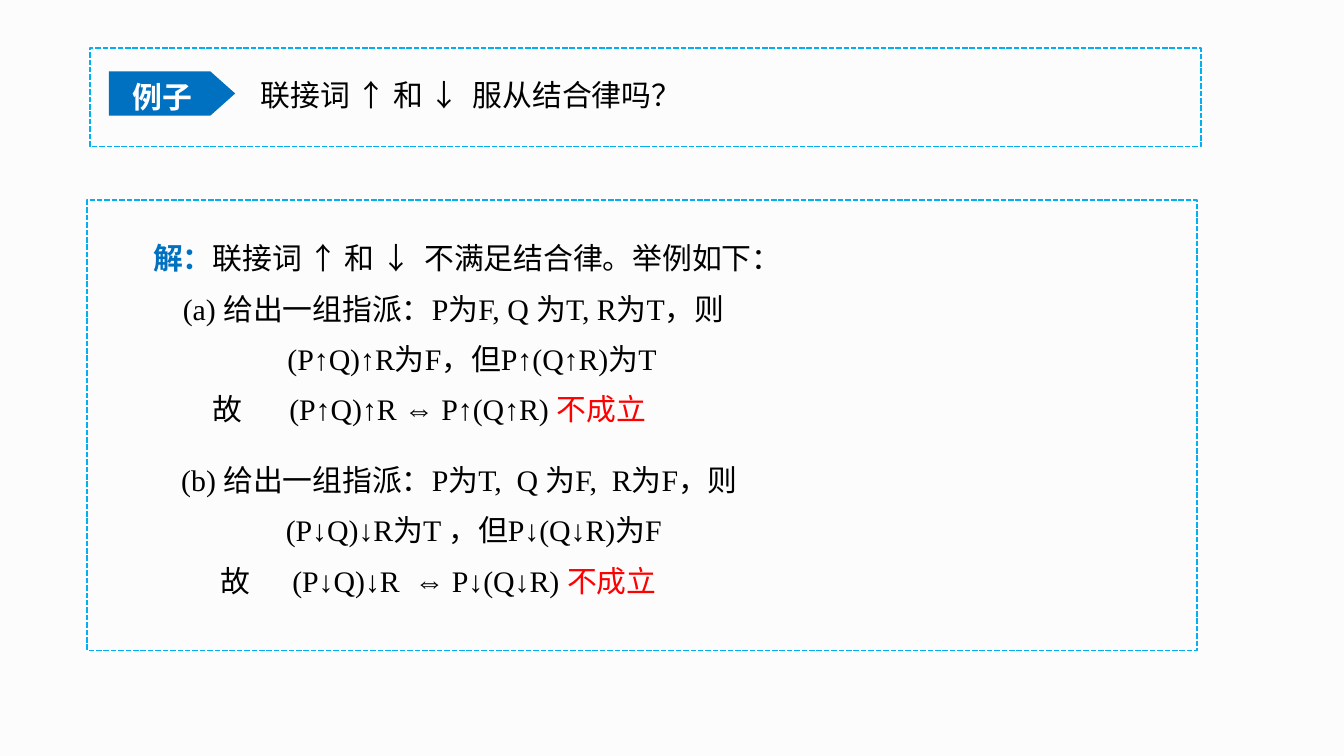
from dataclasses import dataclass

from pptx import Presentation
from pptx.dml.color import RGBColor
from pptx.enum.dml import MSO_LINE
from pptx.enum.shapes import MSO_SHAPE
from pptx.enum.text import MSO_ANCHOR, MSO_AUTO_SIZE, PP_ALIGN
from pptx.util import Pt


@dataclass(frozen=True)
class Theme:
    font: str = "Times New Roman"
    size: float = 16
    background: str = "FCFCFC"
    text: str = "000000"
    accent: str = "0070C0"
    frame: str = "00B0F0"
    warning: str = "FF0000"
    on_accent: str = "FFFFFF"


@dataclass(frozen=True)
class Line:
    """One line of the solution: runs of (text, colour, bold), its left edge and hanging indent."""
    runs: list
    left: float = 0
    hanging: float = 0


class SlideBuilder:
    def __init__(self, slide, theme):
        self.slide = slide
        self.theme = theme
        fill = slide.background.fill
        fill.solid()
        fill.fore_color.rgb = RGBColor.from_string(theme.background)

    def style(self, paragraph, colour, bold=False):
        font = paragraph.font
        font.name = self.theme.font
        font.size = Pt(self.theme.size)
        font.bold = bold
        font.color.rgb = RGBColor.from_string(colour)

    def title(self, text, left, top, width, height):
        shape = self.slide.shapes.title
        shape.left, shape.top, shape.width, shape.height = map(Pt, (left, top, width, height))
        frame = shape.text_frame
        frame.margin_left = frame.margin_right = Pt(5.8)
        frame.margin_top = frame.margin_bottom = Pt(2.9)
        frame.vertical_anchor = MSO_ANCHOR.TOP
        frame.auto_size = MSO_AUTO_SIZE.NONE
        frame.text = text
        paragraph = frame.paragraphs[0]
        paragraph.alignment = PP_ALIGN.LEFT
        self.style(paragraph, self.theme.text)

    def shape(self, kind, left, top, width, height):
        shape = self.slide.shapes.add_shape(kind, *map(Pt, (left, top, width, height)))
        shape.shadow.inherit = False
        return shape

    def dashed_frame(self, left, top, width, height):
        shape = self.shape(MSO_SHAPE.RECTANGLE, left, top, width, height)
        shape.fill.background()
        shape.line.color.rgb = RGBColor.from_string(self.theme.frame)
        shape.line.width = Pt(1)
        shape.line.dash_style = MSO_LINE.SQUARE_DOT

    def badge(self, text, left, top, width, height):
        shape = self.shape(MSO_SHAPE.PENTAGON, left, top, width, height)
        shape.adjustments[0] = 0.56
        shape.fill.solid()
        shape.fill.fore_color.rgb = RGBColor.from_string(self.theme.accent)
        shape.line.fill.background()
        frame = shape.text_frame
        frame.vertical_anchor = MSO_ANCHOR.MIDDLE
        frame.text = text
        paragraph = frame.paragraphs[0]
        paragraph.alignment = PP_ALIGN.CENTER
        paragraph.line_spacing = 1.2
        self.style(paragraph, self.theme.on_accent, bold=True)

    def solution(self, lines, left, top, width, height):
        box = self.slide.shapes.add_textbox(*map(Pt, (left, top, width, height)))
        frame = box.text_frame
        frame.word_wrap = True
        frame.auto_size = MSO_AUTO_SIZE.SHAPE_TO_FIT_TEXT
        for index, line in enumerate(lines):
            paragraph = frame.paragraphs[0] if index == 0 else frame.add_paragraph()
            properties = paragraph._p.get_or_add_pPr()
            properties.set("marL", str(Pt(line.left + line.hanging)))
            properties.set("indent", str(-Pt(line.hanging)))
            paragraph.line_spacing = Pt(21)
            paragraph.space_before = Pt(6 if index else 0)
            self.style(paragraph, self.theme.text)
            for text, colour, bold in line.runs:
                run = paragraph.add_run()
                run.text = text
                if colour != self.theme.text:
                    run.font.color.rgb = RGBColor.from_string(colour)
                if bold:
                    run.font.bold = True


def main():
    theme = Theme()
    presentation = Presentation()
    presentation.slide_width, presentation.slide_height = Pt(720), Pt(405)
    slide = presentation.slides.add_slide(presentation.slide_layouts[5])
    builder = SlideBuilder(slide, theme)

    def plain(text):
        return text, theme.text, False

    def conclusion(formula):
        return [plain("故\t" + formula), ("不成立", theme.warning, False)]

    builder.title("联接词 ↑ 和 ↓  服从结合律吗？", 134, 38.2, 509.5, 31)
    builder.dashed_frame(48.2, 25.9, 595.4, 52.6)
    builder.badge("例子 ", 58.3, 38.2, 67.7, 23.8)
    builder.dashed_frame(46.8, 107.3, 594.7, 241.2)

    builder.solution([
        Line([("解：", theme.accent, True), plain("联接词 ↑ 和 ↓  不满足结合律。举例如下：")]),
        Line([plain("(a) 给出一组指派：P为F, Q 为T, R为T，则")], left=16),
        Line([plain("(P↑Q)↑R为F，但P↑(Q↑R)为T")], left=72),
        Line(conclusion("(P↑Q)↑R ⇔ P↑(Q↑R) "), left=32, hanging=41),
    ], 74.9, 123.1, 474.5, 110.2)
    builder.solution([
        Line([plain("(b) 给出一组指派：P为T,  Q 为F,  R为F，则")]),
        Line([plain("(P↓Q)↓R为T ，但P↓(Q↓R)为F")], left=56),
        Line(conclusion("(P↓Q)↓R  ⇔ P↓(Q↓R) "), left=21, hanging=38.5),
    ], 90, 241.9, 409, 108.7)

    presentation.save("out.pptx")


if __name__ == "__main__":
    main()
